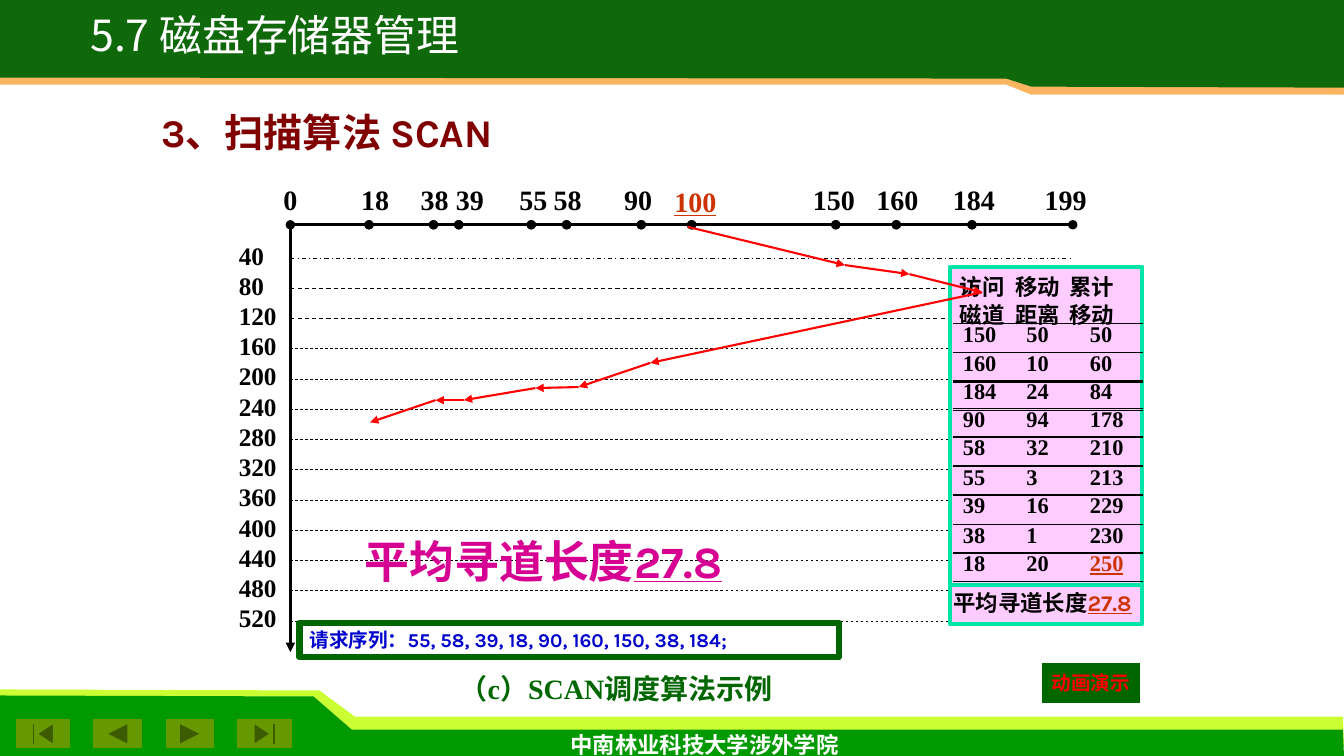
from itertools import pairwise

from lxml.etree import SubElement
from pptx import Presentation
from pptx.dml.color import RGBColor
from pptx.enum.dml import MSO_LINE
from pptx.enum.shapes import MSO_CONNECTOR, MSO_SHAPE
from pptx.enum.text import MSO_ANCHOR, MSO_AUTO_SIZE, PP_ALIGN
from pptx.oxml.ns import qn
from pptx.util import Inches, Pt

COLORS = {
    "black": "000000", "white": "FFFFFF", "red": "FF0000", "blue": "0000CC",
    "maroon": "800000", "magenta": "D60093", "rust": "CC3300",
    "dark_green": "006600", "header_green": "0F690B", "footer_green": "009900",
    "lime": "CCFF33", "olive": "669900", "orange": "FBB561",
    "pink": "FFCCFF", "mint": "00E4A8",
}
SERIF, SANS, CHINESE = "Times New Roman", "Karla", "Noto Sans CJK SC"

BANDS = [
    ("lime", 100, [(0.01, 7.4), (13.33, 7.4), (13.32, 7.11), (3.52, 7.11), (3.17, 6.85), (0, 6.84)]),
    ("footer_green", 100, [(0, 7.5), (13.33, 7.5), (13.32, 7.24), (3.49, 7.24), (3.11, 6.91), (0, 6.9)]),
    ("orange", 100, [(13.33, 0), (0, 0), (0, 0.84), (9.98, 0.84), (10.23, 0.94), (13.33, 0.94)]),
    ("header_green", 100, [(13.33, 0), (0, 0), (0, 0.77), (9.98, 0.78), (10.23, 0.86), (13.33, 0.87)]),
    ("white", 30, [(10.06, 0.94), (13.2, 0.94), (13.19, 0.99), (10.19, 1)]),
]
NAVIGATION = [
    (MSO_SHAPE.ACTION_BUTTON_BACK_OR_PREVIOUS, 0.93, 0.47),
    (MSO_SHAPE.ACTION_BUTTON_FORWARD_OR_NEXT, 1.65, 0.47),
    (MSO_SHAPE.ACTION_BUTTON_BEGINNING, 0.16, 0.53),
    (MSO_SHAPE.ACTION_BUTTON_END, 2.36, 0.53),
]
TRACK_LABELS = [("18", 3.72), ("38", 4.31), ("39", 4.66), ("55", 5.29), ("58", 5.63), ("90", 6.33),
                ("150", 8.27), ("160", 8.9), ("184", 9.66), ("199", 10.57)]
TRACK_DOTS = [2.88, 3.66, 4.3, 4.55, 5.27, 5.62, 6.36, 6.86, 8.29, 8.89, 9.64, 10.64]
HEAD_PATH = [(6.82, 2.25), (8.38, 2.63), (9.02, 2.72), (9.74, 2.9), (6.45, 3.6),
             (5.74, 3.84), (5.31, 3.85), (4.6, 3.97), (4.32, 3.97), (3.67, 4.19)]
DISTANCES = list(range(40, 521, 40))
HEADER = ["访问\t移动\t累计", "磁道\t距离\t移动"]
# top of the row, then visited track, distance moved and running total
MOVES = [(3.21, (150, 50, 50)), (3.5, (160, 10, 60)), (3.78, (184, 24, 84)),
         (4.05, (90, 94, 178)), (4.33, (58, 32, 210)), (4.63, (55, 3, 213)),
         (4.91, (39, 16, 229)), (5.2, (38, 1, 230)), (5.48, (18, 20, 250))]
FINAL_TOTAL = 250
AVERAGE_LABEL, AVERAGE = "平均寻道长度", "27.8"

AXIS_X, AXIS_Y, AXIS_END = 2.88, 2.23, 10.64
GRID_TOP, GRID_STEP = 2.56, 0.3
PANEL_LEFT, PANEL_TOP, PANEL_WIDTH, PANEL_HEIGHT = 9.42, 2.65, 1.91, 3.54
ROW_LEFT, ROW_HEIGHT, COLUMN_WIDTH = 9.45, 0.29, 0.63


def rgb(name):
    return RGBColor.from_string(COLORS[name])


def write_text(frame, paragraphs, size, color="black", font=SERIF, bold=True, align=PP_ALIGN.LEFT,
               anchor=MSO_ANCHOR.TOP, wrap=True, spacing=None, tabs=(), margins=(0.1, 0.05)):
    """Each paragraph is a string or a list of (text, color, underline) runs; tabs are (inches, kind)."""
    frame.auto_size = MSO_AUTO_SIZE.NONE
    frame.word_wrap = wrap
    frame.vertical_anchor = anchor
    frame.margin_left = frame.margin_right = Inches(margins[0])
    frame.margin_top = frame.margin_bottom = Inches(margins[1])
    for index, runs in enumerate(paragraphs):
        paragraph = frame.add_paragraph() if index else frame.paragraphs[0]
        paragraph.alignment = align
        if spacing:
            paragraph.line_spacing = spacing
        if tabs:
            tab_list = SubElement(paragraph._p.get_or_add_pPr(), qn("a:tabLst"))
            for position, kind in tabs:
                SubElement(tab_list, qn("a:tab"), pos=str(Inches(position)), algn=kind)
        for text, run_color, underline in ([(runs, color, False)] if isinstance(runs, str) else runs):
            run = paragraph.add_run()
            run.text = text
            run.font.size, run.font.bold, run.font.name = Pt(size), bold, font
            run.font.color.rgb = rgb(run_color)
            if underline:
                run.font.underline = True
            SubElement(run.font._element, qn("a:ea"), typeface=CHINESE)


def add_text(slide, box, paragraphs, size, **text_format):
    shape = slide.shapes.add_textbox(*map(Inches, box))
    write_text(shape.text_frame, paragraphs, size, **text_format)


def paint(shape, fill, line=None, width=0.75):
    shape.shadow.inherit = False
    shape.fill.solid()
    shape.fill.fore_color.rgb = rgb(fill)
    if line:
        shape.line.color.rgb = rgb(line)
        shape.line.width = Pt(width)
    else:
        shape.line.fill.background()


def add_box(slide, kind, box, *paint_options):
    shape = slide.shapes.add_shape(kind, *map(Inches, box))
    paint(shape, *paint_options)
    return shape


def add_line(slide, start, end, width, color="black", dash=None, head=None, tail=None):
    line = slide.shapes.add_connector(MSO_CONNECTOR.STRAIGHT, *map(Inches, (*start, *end)))
    line.line.color.rgb = rgb(color)
    line.line.width = Pt(width)
    if dash:
        line.line.dash_style = dash
    properties = line.element.spPr
    for tag, kind in (("a:headEnd", head), ("a:tailEnd", tail)):
        if kind:
            SubElement(properties.find(qn("a:ln")), qn(tag), type=kind)
    SubElement(properties, qn("a:effectLst"))


def set_borders(cell):
    properties = cell._tc.get_or_add_tcPr()
    for tag in ("a:lnL", "a:lnR", "a:lnT", "a:lnB"):
        border = SubElement(properties, qn(tag), w=str(Pt(1)))
        if tag in ("a:lnL", "a:lnR"):
            SubElement(border, qn("a:noFill"))
        else:
            SubElement(SubElement(border, qn("a:solidFill")), qn("a:srgbClr"), val=COLORS["black"])


def add_background(slide):
    for color, opacity, points in BANDS:
        corners = [(Inches(x), Inches(y)) for x, y in points]
        builder = slide.shapes.build_freeform(*corners[0])
        builder.add_line_segments(corners[1:], close=True)
        band = builder.convert_to_shape()
        paint(band, color)
        if opacity < 100:
            band_color = band.element.spPr.find(qn("a:solidFill")).find(qn("a:srgbClr"))
            SubElement(band_color, qn("a:alpha"), val=str(opacity * 1000))
    for kind, left, width in NAVIGATION:
        add_box(slide, kind, (left, 7.14, width, 0.28), "olive", "olive")
    add_text(slide, (5.56, 7.2, 2.92, 0.3), ["中南林业科技大学涉外学院"], 16,
             color="white", font=SANS, wrap=False)


def add_axes(slide):
    label_left, margin = 2.75, 0.06
    add_text(slide, (label_left, 1.78, 8.25, 0.47),
             ["\t".join(["0"] + [label for label, _ in TRACK_LABELS])], 20, margins=(margin, 0.03),
             tabs=[(center - label_left - margin, "ctr") for _, center in TRACK_LABELS])
    add_text(slide, (6.59, 1.78, 0.63, 0.44), [[("100", "rust", True)]], 20)
    for left, right in pairwise(TRACK_DOTS):
        add_line(slide, (left, AXIS_Y), (right, AXIS_Y), 2.25, head="oval", tail="oval")
    add_line(slide, (AXIS_X, 2.26), (AXIS_X, 6.47), 2.25, tail="triangle")
    for index in range(len(DISTANCES)):
        y = GRID_TOP + index * GRID_STEP
        add_line(slide, (AXIS_X, y), (AXIS_END, y), 0.75 if index < 3 else 0.5,
                 dash=MSO_LINE.DASH if index else MSO_LINE.DASH_DOT)
    add_text(slide, (2.27, 2.33, 0.71, 4.19), [str(distance) for distance in DISTANCES], 18,
             spacing=Pt(GRID_STEP * 72))


def add_move_row(slide, top, move):
    frame = slide.shapes.add_table(1, len(move), Inches(ROW_LEFT), Inches(top),
                                   Inches(len(move) * COLUMN_WIDTH), Inches(ROW_HEIGHT))
    table = frame.table
    table.first_row = table.horz_banding = False
    for column, cell, value in zip(table.columns, table.rows[0].cells, move):
        column.width = Inches(COLUMN_WIDTH)
        is_final = value == FINAL_TOTAL
        write_text(cell.text_frame, [[(str(value), "rust" if is_final else "black", is_final)]],
                   16, spacing=0.7)
        cell.margin_top, cell.margin_bottom = Inches(0.05), 0
        set_borders(cell)
        cell.fill.background()


def add_move_panel(slide):
    panel = add_box(slide, MSO_SHAPE.RECTANGLE, (PANEL_LEFT, PANEL_TOP, PANEL_WIDTH, PANEL_HEIGHT),
                    "pink", "mint", 3)
    write_text(panel.text_frame, HEADER, 16, spacing=Pt(20), tabs=[(0.55, "l"), (1.09, "l")])
    add_line(slide, (PANEL_LEFT, 5.8), (PANEL_LEFT + PANEL_WIDTH, 5.8), 3, color="mint")
    for top, move in MOVES:
        add_move_row(slide, top, move)
    add_text(slide, (9.36, 5.8, 2.05, 0.37),
             [[(AVERAGE_LABEL, "black", False), (AVERAGE, "rust", True)]], 16, font=SANS)


def main():
    presentation = Presentation()
    presentation.slide_width, presentation.slide_height = Inches(13.33), Inches(7.5)
    slide = presentation.slides.add_slide(presentation.slide_layouts[5])
    add_background(slide)

    title = slide.shapes.title
    title.left, title.top, title.width, title.height = map(Inches, (0.52, 0.13, 4.41, 0.55))
    write_text(title.text_frame, ["5.7 磁盘存储器管理"], 30.6, color="white", font=CHINESE,
               bold=False, align=PP_ALIGN.CENTER, wrap=False, spacing=0.8)
    title.element.getparent().append(title.element)
    add_text(slide, (1.5, 1.03, 8.82, 0.6), ["3、扫描算法 SCAN"], 28, color="maroon", font=SANS)

    add_axes(slide)
    add_text(slide, (4.46, 6.61, 3.94, 0.45), ["（c）SCAN调度算法示例"], 20, color="dark_green")
    add_move_panel(slide)
    add_text(slide, (3.52, 5.25, 5.04, 0.64),
             [[(AVERAGE_LABEL, "magenta", False), (AVERAGE, "magenta", True)]], 32, font=SANS)
    for start, end in pairwise(HEAD_PATH):
        add_line(slide, start, end, 1.5, color="red", tail="triangle")

    demo = add_box(slide, MSO_SHAPE.ACTION_BUTTON_CUSTOM, (10.33, 6.58, 0.98, 0.39), "dark_green")
    write_text(demo.text_frame, ["动画演示"], 14, color="red", font=SANS, align=PP_ALIGN.CENTER,
               anchor=MSO_ANCHOR.MIDDLE, wrap=False)
    requests = add_box(slide, MSO_SHAPE.RECTANGLE, (2.97, 6.18, 5.35, 0.34), "white", "dark_green", 4.5)
    write_text(requests.text_frame, ["请求序列：55, 58, 39, 18, 90, 160, 150, 38, 184;"], 14,
               color="blue", font=SANS, anchor=MSO_ANCHOR.MIDDLE)
    presentation.save("out.pptx")


if __name__ == "__main__":
    main()
